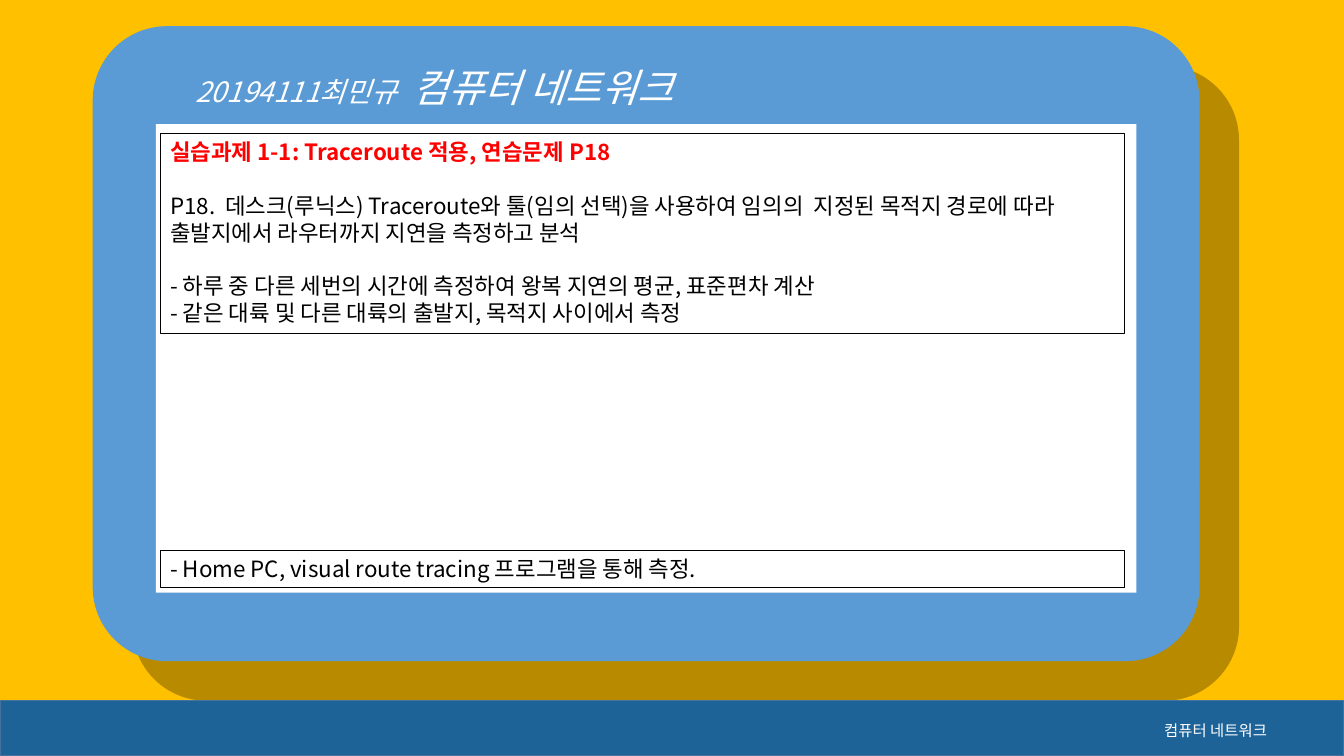
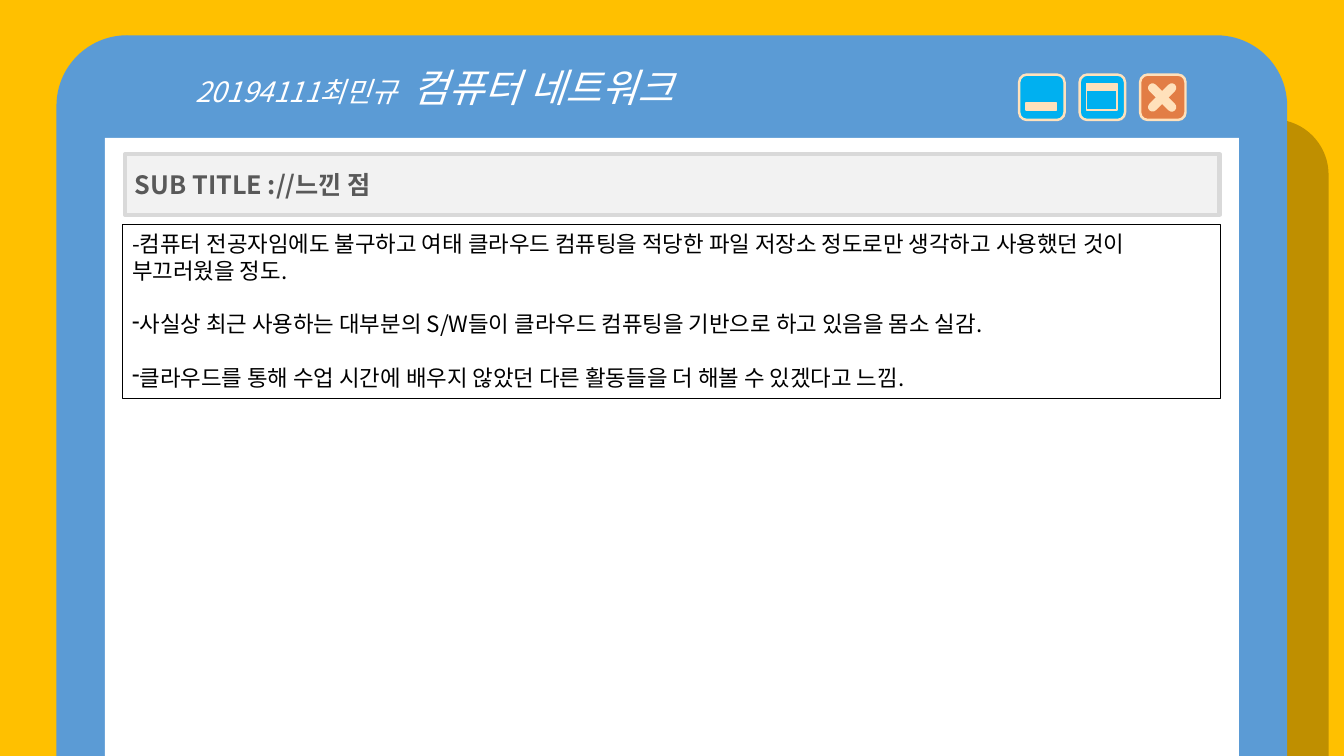
from dataclasses import dataclass

from lxml import etree
from pptx import Presentation
from pptx.dml.color import RGBColor
from pptx.enum import shapes, text
from pptx.oxml.ns import qn
from pptx.util import Pt


@dataclass(frozen=True)
class Theme:
    font: str = "Noto Sans CJK KR"
    back: str = "FFC000"
    window: str = "5B9BD5"
    bar: str = "1D6398"
    bar_line: str = "43739E"
    white: str = "FFFFFF"
    black: str = "000000"
    red: str = "FF0000"
    sub_fill: str = "F2F2F2"
    sub_line: str = "D9D9D9"
    sub_text: str = "595959"
    blue: str = "00B0F0"
    orange: str = "E27D45"
    cream: str = "FFE1BB"
    course_size: int = 28
    author_size: int = 20
    sub_size: int = 18
    body_size: int = 16
    footer_size: int = 11
    leading: float = 1.2


T = Theme()
KIND = shapes.MSO_SHAPE

AUTHOR, COURSE = "20194111최민규 ", "컴퓨터 네트워크"
SUBTITLE = "SUB TITLE ://느낀 점"

# Each paragraph: text, then what differs from plain body text
TASK = [
    ("실습과제 1-1: Traceroute 적용, 연습문제 P18", {"color": T.red, "bold": True}),
    ("P18.  데스크(루닉스) Traceroute와 툴(임의 선택)을 사용하여 임의의  지정된 목적지 경로에 따라 "
     "출발지에서 라우터까지 지연을 측정하고 분석", {"gap": True}),
    ("- 하루 중 다른 세번의 시간에 측정하여 왕복 지연의 평균, 표준편차 계산", {"gap": True}),
    ("- 같은 대륙 및 다른 대륙의 출발지, 목적지 사이에서 측정", {}),
]
METHOD = [("- Home PC, visual route tracing 프로그램을 통해 측정.", {})]
THOUGHTS = [
    ("-컴퓨터 전공자임에도 불구하고 여태 클라우드 컴퓨팅을 적당한 파일 저장소 정도로만 생각하고 사용했던 것이", {}),
    ("부끄러웠을 정도.", {}),
    ("사실상 최근 사용하는 대부분의 S/W들이 클라우드 컴퓨팅을 기반으로 하고 있음을 몸소 실감.",
     {"gap": True, "bullet": "-"}),
    ("클라우드를 통해 수업 시간에 배우지 않았던 다른 활동들을 더 해볼 수 있겠다고 느낌.",
     {"gap": True, "bullet": "-"}),
]

# Window buttons: fill, then icon parts (box inside the button, fill, outlined, rotation)
BUTTON_LEFT, BUTTON_TOP, BUTTON_SIZE, BUTTON_STEP = 728, 53.3, 32.4, 43.2
BUTTONS = [
    (T.blue, [((5, 20.2, 21.6, 5), T.cream, True, 0)]),
    (T.blue, [((5, 11.5, 21.6, 13.7), T.blue, True, 0),
              ((5, 6.5, 21.6, 5), T.cream, True, 0)]),
    (T.orange, [((12.5, 3.4, 6.5, 25.9), T.cream, False, angle) for angle in (45, 315)]),
]


def rgb(value):
    return RGBColor.from_string(value)


def add_alpha(color, percent):
    etree.SubElement(color, qn("a:alpha")).set("val", str(percent * 1000))


def add_box(s, box, fill, kind=KIND.RECTANGLE, line=None, weight=0.75, adj=(), alpha=None):
    sp = s.shapes.add_shape(kind, *(Pt(v) for v in box))
    sp.shadow.inherit = False
    sp.fill.solid()
    sp.fill.fore_color.rgb = rgb(fill)
    if alpha is not None:
        add_alpha(sp._element.spPr.find(qn("a:solidFill"))[0], alpha)
    if line:
        sp.line.color.rgb = rgb(line)
        sp.line.width = Pt(weight)
    else:
        sp.line.fill.background()
    for i, value in enumerate(adj):
        sp.adjustments[i] = value
    return sp


def add_text_box(s, box):
    sp = s.shapes.add_textbox(*(Pt(v) for v in box))
    sp.text_frame.word_wrap = True
    return sp


def add_run(p, words, size, color, bold=False, italic=False):
    r = p.add_run()
    r.text = words
    r.font.size = Pt(size)
    r.font.name = T.font
    r.font.color.rgb = rgb(color)
    r.font.bold = bold
    r.font.italic = italic
    etree.SubElement(r._r.get_or_add_rPr(), qn("a:ea")).set("typeface", T.font)


def set_bullet(p, char):
    pPr = p._p.get_or_add_pPr()
    pPr.set("marL", "0")
    pPr.set("indent", "0")
    etree.SubElement(pPr, qn("a:buChar")).set("char", char)


def add_note(s, box, paragraphs):
    """Outlined, half-transparent box of body text; a gap is one line high."""
    tf = add_box(s, box, T.white, line=T.black, alpha=50).text_frame
    tf.word_wrap = True
    tf.vertical_anchor = text.MSO_ANCHOR.TOP
    pitch = Pt(T.body_size * T.leading)
    for i, (words, style) in enumerate(paragraphs):
        p = tf.add_paragraph() if i else tf.paragraphs[0]
        p.alignment = text.PP_ALIGN.LEFT
        p.line_spacing = pitch
        if style.get("gap"):
            p.space_before = pitch
        if "bullet" in style:
            set_bullet(p, style["bullet"])
        add_run(p, words, T.body_size, style.get("color", T.black), style.get("bold", False))


def add_title(s):
    p = add_text_box(s, (132.5, 41.8, 396, 63.4)).text_frame.paragraphs[0]
    p.line_spacing = Pt(T.course_size * T.leading)
    add_run(p, AUTHOR, T.author_size, T.white, italic=True)
    add_run(p, " " + COURSE, T.course_size, T.white, italic=True)


def add_drop_shadow(sp, distance, percent):
    effects = sp._element.spPr.find(qn("a:effectLst"))
    shadow = etree.SubElement(effects, qn("a:outerShdw"), blurRad="0", dist=str(Pt(distance)),
                              dir=str(45 * 60000), algn="tl", rotWithShape="0")
    color = etree.SubElement(shadow, qn("a:srgbClr"), val=T.black)
    add_alpha(color, percent)


def add_taskbar(s):
    add_box(s, (0, 500.4, 960, 39.6), T.bar, line=T.bar_line, weight=1)
    p = add_text_box(s, (787.7, 504.7, 161.3, 24.5)).text_frame.paragraphs[0]
    p.alignment = text.PP_ALIGN.CENTER
    p.line_spacing = Pt(T.footer_size * T.leading * 1.5)
    add_run(p, COURSE, T.footer_size, T.white)


def add_buttons(s):
    for i, (fill, parts) in enumerate(BUTTONS):
        left = BUTTON_LEFT + i * BUTTON_STEP
        add_box(s, (left, BUTTON_TOP, BUTTON_SIZE, BUTTON_SIZE), fill,
                KIND.ROUNDED_RECTANGLE, T.cream, 1.75)
        for (dx, dy, w, h), part_fill, outlined, angle in parts:
            part = add_box(s, (left + dx, BUTTON_TOP + dy, w, h), part_fill,
                           KIND.ROUNDED_RECTANGLE, T.cream if outlined else None, 1,
                           adj=(0 if outlined else 0.5,))
            part.rotation = angle


def new_slide(prs):
    s = prs.slides.add_slide(prs.slide_layouts[6])
    s.background.fill.solid()
    s.background.fill.fore_color.rgb = rgb(T.back)
    return s


def build_task_slide(prs):
    s = new_slide(prs)
    window = add_box(s, (66.2, 18.7, 790.6, 453.6), T.window, KIND.ROUNDED_RECTANGLE, adj=(0.117,))
    add_drop_shadow(window, 40, 27)
    add_box(s, (111.4, 88.6, 700.4, 334.8), T.white)
    add_taskbar(s)
    add_title(s)
    add_note(s, (114.5, 95.2, 689, 143.2), TASK)
    add_note(s, (114.5, 392.9, 689, 26.7), METHOD)


def build_thoughts_slide(prs):
    s = new_slide(prs)
    tab = KIND.ROUND_2_SAME_RECTANGLE
    add_box(s, (743.8, 85.2, 205.2, 454.8), T.black, tab, adj=(0.193, 0), alpha=25)
    add_box(s, (40.3, 25.2, 879.1, 514.8), T.window, tab, adj=(0.098, 0))
    add_box(s, (74.9, 98.6, 810, 441.4), T.white)
    add_buttons(s)
    sub = add_box(s, (89.3, 110.2, 781.9, 43.2), T.sub_fill, line=T.sub_line, weight=3)
    sub.text_frame.vertical_anchor = text.MSO_ANCHOR.MIDDLE
    p = sub.text_frame.paragraphs[0]
    p.alignment = text.PP_ALIGN.LEFT
    add_run(p, SUBTITLE, T.sub_size, T.sub_text, bold=True)
    add_note(s, (87.3, 160.7, 784.6, 123.8), THOUGHTS)
    add_title(s)


def main():
    prs = Presentation()
    prs.slide_width, prs.slide_height = Pt(960), Pt(540)
    build_task_slide(prs)
    build_thoughts_slide(prs)
    prs.save("out.pptx")


if __name__ == "__main__":
    main()
